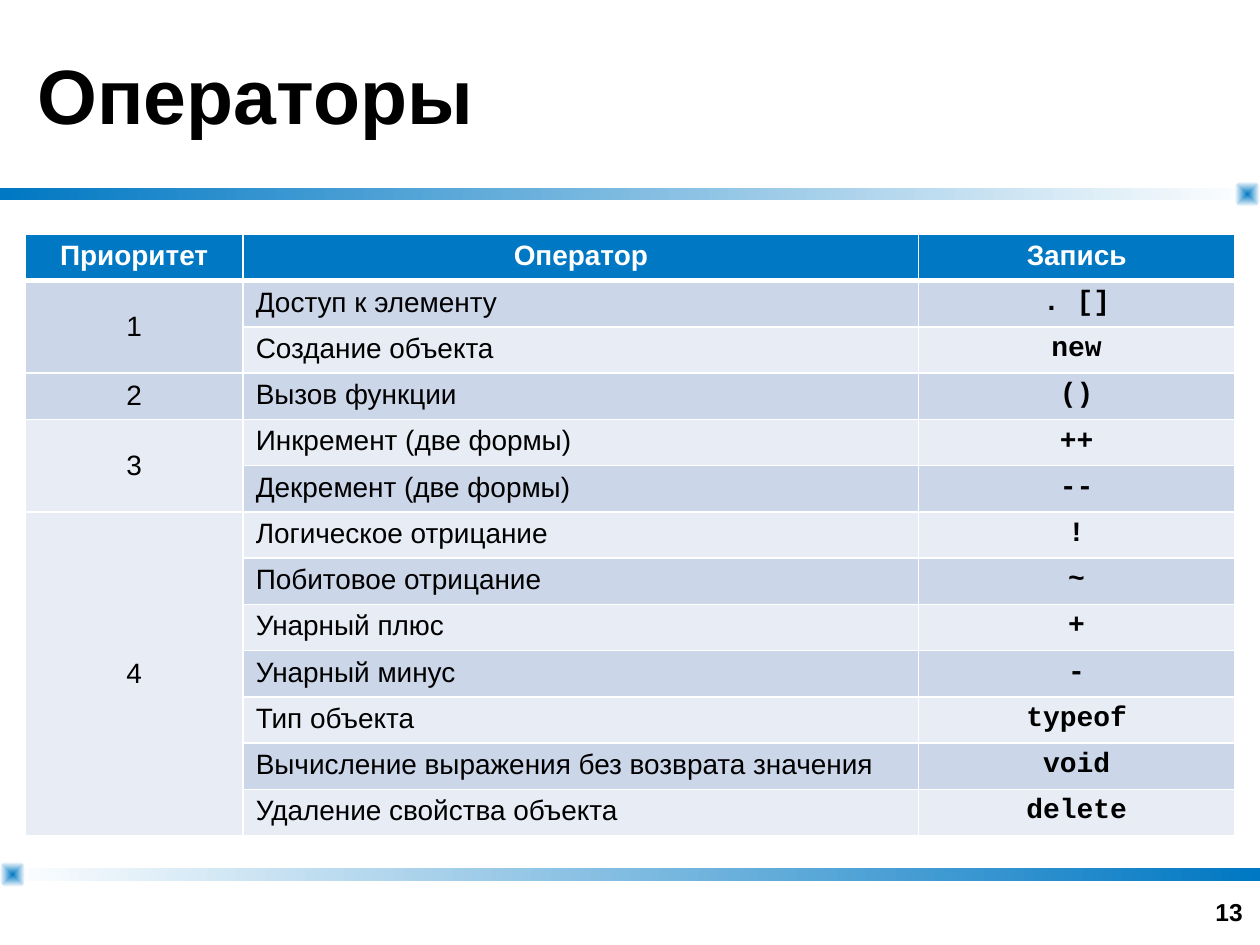
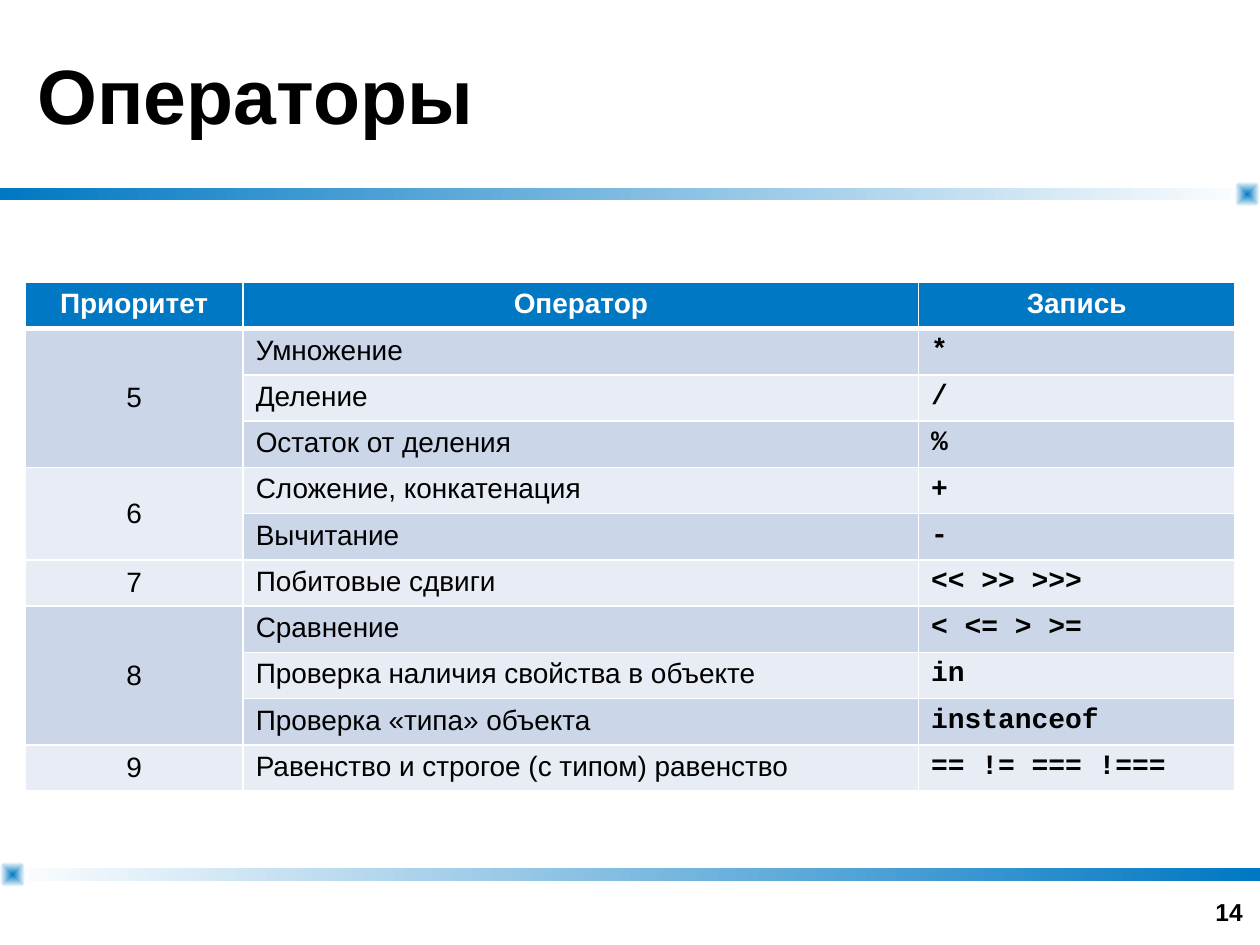
from lxml import etree
from pptx import Presentation
from pptx.dml.color import RGBColor
from pptx.enum import shapes, text
from pptx.oxml import ns
from pptx.util import Pt

# Shared look
BLUE, WHITE, BLACK = "0078C3", "FFFFFF", "000000"
ROW_FILLS = ("E7ECF5", "CCD6E9")  # even rows, odd rows
SANS, MONO = "Arial", "Courier New"
CENTER, LEFT, RIGHT = text.PP_ALIGN.CENTER, text.PP_ALIGN.LEFT, text.PP_ALIGN.RIGHT
TOP, MIDDLE, BOTTOM = (text.MSO_ANCHOR.TOP, text.MSO_ANCHOR.MIDDLE,
                       text.MSO_ANCHOR.BOTTOM)

SLIDE_WIDTH, SLIDE_HEIGHT = 720, 540
MARGIN = 14.4
BAND_HEIGHT, KNOB_SIZE = 7.2, 14.4
TOP_BAND, BOTTOM_BAND = 107.3, 496.1
ROW_HEIGHT = 26.4
COLUMN_WIDTHS = (124.6, 385.9, 180.7)
HEADINGS = ("Приоритет", "Оператор", "Запись")

# Content: priority, then its operators with their notation
UNARY_OPERATORS = [
    ("1", [("Доступ к элементу", ". []"),
           ("Создание объекта", "new")]),
    ("2", [("Вызов функции", "()")]),
    ("3", [("Инкремент (две формы)", "++"),
           ("Декремент (две формы)", "--")]),
    ("4", [("Логическое отрицание", "!"),
           ("Побитовое отрицание", "~"),
           ("Унарный плюс", "+"),
           ("Унарный минус", "-"),
           ("Тип объекта", "typeof"),
           ("Вычисление выражения без возврата значения", "void"),
           ("Удаление свойства объекта", "delete")]),
]
BINARY_OPERATORS = [
    ("5", [("Умножение", "*"),
           ("Деление", "/"),
           ("Остаток от деления", "%")]),
    ("6", [("Сложение, конкатенация", "+"),
           ("Вычитание", "-")]),
    ("7", [("Побитовые сдвиги", "<< >> >>>")]),
    ("8", [("Сравнение", "< <= > >="),
           ("Проверка наличия свойства в объекте", "in"),
           ("Проверка «типа» объекта", "instanceof")]),
    ("9", [("Равенство и строгое (с типом) равенство", "== != === !===")]),
]


def color(hex_code):
    return RGBColor.from_string(hex_code)


def write(frame, words, size, align=LEFT, bold=False, ink=BLACK, face=SANS):
    paragraph = frame.paragraphs[0]
    paragraph.alignment = align
    run = paragraph.add_run()
    run.text = words
    for name, value in {"size": Pt(size), "bold": bold, "name": face}.items():
        setattr(run.font, name, value)
    run.font.color.rgb = color(ink)


def add_label(slide, box, words, size, anchor, align=LEFT):
    label = slide.shapes.add_textbox(*map(Pt, box)).text_frame
    for name, value in {"word_wrap": True, "vertical_anchor": anchor}.items():
        setattr(label, name, value)
    write(label, words, size, align, bold=True)


def add_gradient(slide, kind, box, start, end):
    piece = slide.shapes.add_shape(kind, *map(Pt, box))
    piece.shadow.inherit = False
    piece.line.fill.background()
    piece.fill.gradient()
    piece.fill.gradient_angle = 0
    for stop, hex_code, position in zip(piece.fill.gradient_stops, (start, end), (0, 1)):
        stop.color.rgb = color(hex_code)
        stop.position = position
    return piece


def add_band(slide, top, start, end):
    box = (0, top, SLIDE_WIDTH, BAND_HEIGHT)
    add_gradient(slide, shapes.MSO_SHAPE.RECTANGLE, box, start, end)


def add_knob(slide, left, band_top):
    """Rounded square at the pale end of a band, shaded from its centre."""
    top = band_top + (BAND_HEIGHT - KNOB_SIZE) / 2
    knob = add_gradient(slide, shapes.MSO_SHAPE.ROUNDED_RECTANGLE,
                        (left, top, KNOB_SIZE, KNOB_SIZE), BLUE, WHITE)
    knob.adjustments[0] = 0.32
    linear = next(knob.element.spPr.iter(ns.qn("a:lin")))
    gradient = linear.getparent()
    gradient.remove(linear)
    shading = etree.SubElement(gradient, ns.qn("a:path"), {"path": "shape"})
    etree.SubElement(shading, ns.qn("a:fillToRect"), dict.fromkeys("ltrb", "50000"))


def set_borders(cell, row):
    widths = {"L": 1, "R": 1, "T": 3 if row == 1 else 1, "B": 3 if row == 0 else 1}
    properties = cell._tc.get_or_add_tcPr()
    for side, width in widths.items():
        edge = etree.SubElement(properties, ns.qn(f"a:ln{side}"), {"w": str(Pt(width))})
        fill = etree.SubElement(edge, ns.qn("a:solidFill"))
        etree.SubElement(fill, ns.qn("a:srgbClr"), {"val": WHITE})


def fill_cell(cell, words, anchor=TOP, **style):
    cell.vertical_anchor = anchor
    write(cell.text_frame, words, 16, **style)


def add_operator_table(slide, top, groups, notation_align):
    row_count = 1 + sum(len(operators) for _, operators in groups)
    table = slide.shapes.add_table(
        row_count, len(HEADINGS), Pt(MARGIN), Pt(top),
        Pt(sum(COLUMN_WIDTHS)), Pt(row_count * ROW_HEIGHT)).table
    for column, width in zip(table.columns, COLUMN_WIDTHS):
        column.width = Pt(width)
    for index, row in enumerate(table.rows):
        row.height = Pt(ROW_HEIGHT)
        for cell in row.cells:
            set_borders(cell, index)
            cell.fill.solid()
            cell.fill.fore_color.rgb = color(ROW_FILLS[index % 2] if index else BLUE)

    # Heading row
    for column, heading in enumerate(HEADINGS):
        fill_cell(table.cell(0, column), heading, align=CENTER, bold=True, ink=WHITE)

    # One merged priority cell per group of operators
    first = 1
    for priority, operators in groups:
        last = first + len(operators) - 1
        if last > first:
            table.cell(first, 0).merge(table.cell(last, 0))
        fill_cell(table.cell(first, 0), priority, MIDDLE, align=CENTER)
        for row, (operator, notation) in enumerate(operators, first):
            fill_cell(table.cell(row, 1), operator)
            fill_cell(table.cell(row, 2), notation, align=notation_align,
                      bold=True, face=MONO)
        first = last + 1


def add_operator_slide(deck, number, table_top, groups, notation_align):
    slide = deck.slides.add_slide(deck.slide_layouts[6])
    # Bands
    add_band(slide, TOP_BAND, BLUE, WHITE)
    add_band(slide, BOTTOM_BAND, WHITE, BLUE)
    add_knob(slide, SLIDE_WIDTH - KNOB_SIZE, TOP_BAND)
    add_knob(slide, 0, BOTTOM_BAND)
    # Title, table and page number
    add_label(slide, (MARGIN, 0, SLIDE_WIDTH - 2 * MARGIN, TOP_BAND),
              "Операторы", 44, MIDDLE)
    add_operator_table(slide, table_top, groups, notation_align)
    add_label(slide, (549.4, 496.8, 167.8, 36), str(number), 14, BOTTOM, RIGHT)


def main():
    deck = Presentation()
    deck.slide_width, deck.slide_height = Pt(SLIDE_WIDTH), Pt(SLIDE_HEIGHT)
    add_operator_slide(deck, 13, 134, UNARY_OPERATORS, CENTER)
    add_operator_slide(deck, 14, 161.4, BINARY_OPERATORS, LEFT)
    deck.save("out.pptx")


if __name__ == "__main__":
    main()
